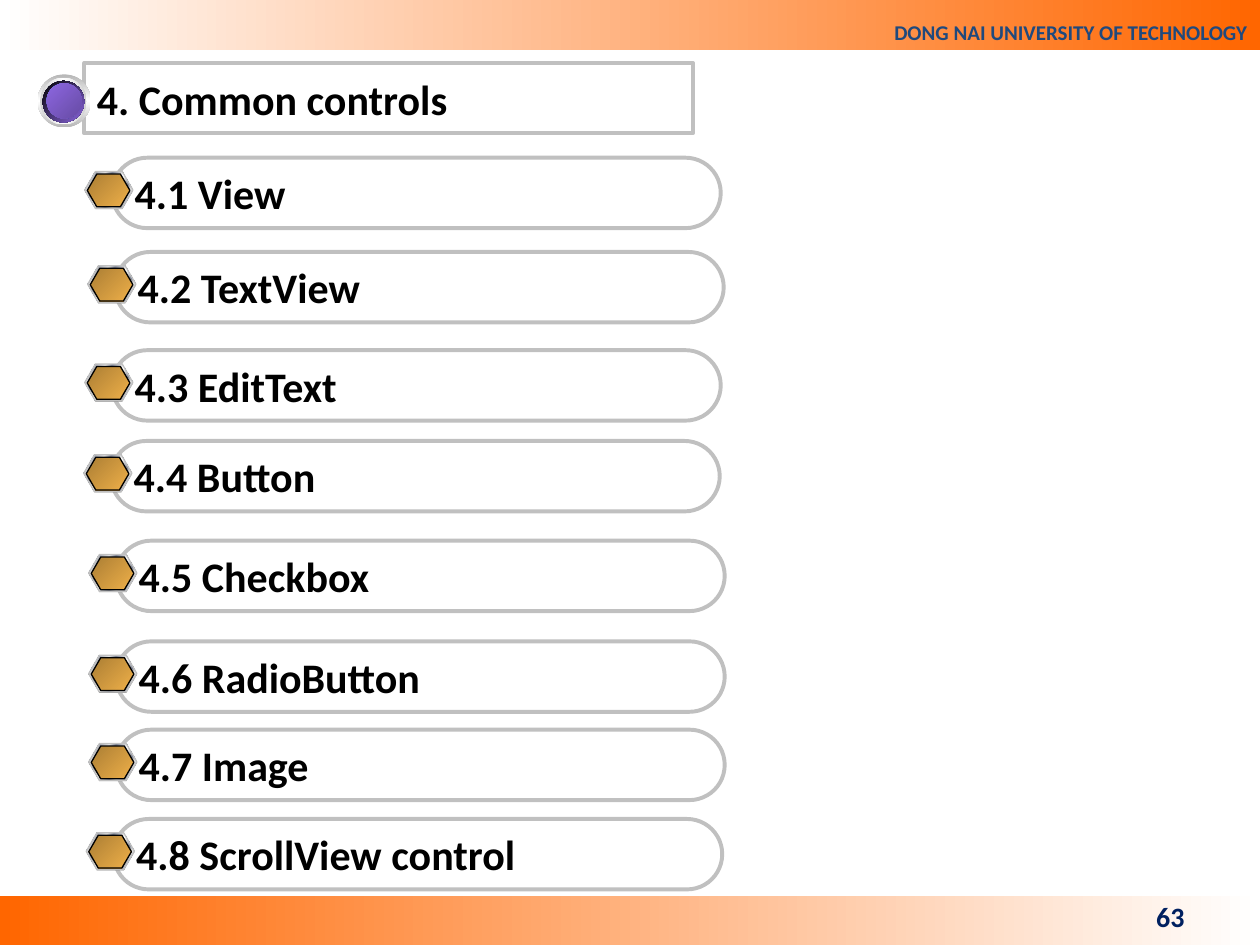
"""Build the agenda slide listing the common controls."""
import copy
from dataclasses import dataclass
from typing import Optional

import pptx
import pptx.dml.color
import pptx.enum.shapes
import pptx.enum.text
import pptx.oxml
import pptx.oxml.ns
import pptx.util

Cm = pptx.util.Cm
Pt = pptx.util.Pt
Shapes = pptx.enum.shapes.MSO_SHAPE
Align = pptx.enum.text.PP_ALIGN
Anchor = pptx.enum.text.MSO_ANCHOR
Stops = list[tuple[int, str]]

FONT = "Calibri"
BLACK = "000000"
SILVER = "C0C0C0"
PILL_SIZE = (12.27, 1.42)
FADE_IN = [(0, "FFFFFF"), (100, "FF6600")]
FADE_OUT = [(0, "FF6600"), (100, "FFFFFF")]
METAL = [
    (0, "E6E6E6"), (7, "7D8496"), (26, "E6E6E6"), (34, "7D8496"),
    (46, "E6E6E6"), (50, "FFFFFF"), (54, "E6E6E6"), (66, "7D8496"),
    (74, "E6E6E6"), (93, "7D8496"), (100, "E6E6E6"),
]


@dataclass
class Layer:
    left: float
    top: float
    width: float
    height: float
    stops: Stops
    angle: int = 45
    line: Optional[str] = None


@dataclass
class Topic:
    text: str
    left: float
    top: float


BUTTON_LAYERS = [
    Layer(0.76, 1.5, 1.07, 1.07, [(0, "B6B6B6"), (50, "FFFFFF"), (100, "B6B6B6")], 90),
    Layer(0.81, 1.57, 0.94, 0.94, [(0, "D1D1D1"), (50, "FFFFFF"), (100, "D1D1D1")], 0),
    Layer(0.86, 1.63, 0.84, 0.84, [(0, "FFFFFF"), (50, "6699FF"), (100, "FFFFFF")]),
    Layer(0.86, 1.63, 0.84, 0.84, [(0, BLACK), (100, "8D67E1")]),
    Layer(0.94, 1.68, 0.71, 0.71, [(0, "4E75C3"), (50, "6699FF"), (100, "4E75C3")], 315),
    Layer(0.94, 1.68, 0.71, 0.71, [(0, "8D67E1"), (100, "674BA4")]),
]
BULLET_LAYERS = [
    Layer(-0.55, 0.3, 0.97, 0.74, [(0, "808080")]),
    Layer(-0.55, 0.28, 0.97, 0.74, METAL, line=SILVER),
    Layer(-0.5, 0.33, 0.86, 0.66, [(0, "AB7E34"), (100, "EFB049")], line=BLACK),
]
HEADING = Topic("4. Common controls", 1.7, 1.27)
TOPICS = [
    Topic("4.1 View", 2.26, 3.18),
    Topic("4.2 TextView", 2.32, 5.08),
    Topic("4.3 EditText", 2.26, 7.06),
    Topic("4.4 Button", 2.24, 8.89),
    Topic("4.5 Checkbox", 2.34, 10.9),
    Topic("4.6 RadioButton", 2.34, 12.93),
    Topic("4.7 Image", 2.34, 14.71),
    Topic("4.8 ScrollView control", 2.29, 16.51),
]


def color(value: str) -> pptx.dml.color.RGBColor:
    return pptx.dml.color.RGBColor.from_string(value)


def paint(shape, stops: Stops, angle: int) -> None:
    if len(stops) == 1:
        shape.fill.solid()
        shape.fill.fore_color.rgb = color(stops[0][1])
        return
    shape.fill.gradient()
    gradient = shape._element.spPr.find(pptx.oxml.ns.qn("a:gradFill"))
    stop_list = "".join(
        f'<a:gs pos="{position * 1000}"><a:srgbClr val="{value}"/></a:gs>'
        for position, value in stops
    )
    replacement = pptx.oxml.parse_xml(
        f'<a:gradFill {pptx.oxml.ns.nsdecls("a")} rotWithShape="1">'
        f'<a:gsLst>{stop_list}</a:gsLst>'
        f'<a:lin ang="{angle * 60000}" scaled="0"/></a:gradFill>'
    )
    gradient.getparent().replace(gradient, replacement)


def outline(shape, value: Optional[str], width: float) -> None:
    if value is None:
        shape.line.fill.background()
    else:
        shape.line.color.rgb = color(value)
        shape.line.width = Pt(width)


def write(shape, text: str, size: int, value: str, alignment, anchor) -> None:
    frame = shape.text_frame
    frame.word_wrap = True
    frame.auto_size = pptx.enum.text.MSO_AUTO_SIZE.NONE
    frame.vertical_anchor = anchor
    paragraph = frame.paragraphs[0]
    paragraph.alignment = alignment
    run = paragraph.add_run()
    run.text = text
    run.font.name = FONT
    run.font.size = Pt(size)
    run.font.bold = True
    run.font.color.rgb = color(value)


def add_layer(shapes, kind, layer: Layer, left: float = 0, top: float = 0):
    shape = shapes.add_shape(
        kind, Cm(left + layer.left), Cm(top + layer.top), Cm(layer.width), Cm(layer.height)
    )
    shape.shadow.inherit = False
    paint(shape, layer.stops, layer.angle)
    outline(shape, layer.line, 0.75)
    return shape


def style_pill(shape, topic: Topic) -> None:
    shape.fill.background()
    outline(shape, SILVER, 2.25)
    write(shape, topic.text, 24, BLACK, Align.LEFT, Anchor.MIDDLE)


def add_topic(slide, topic: Topic):
    group = slide.shapes.add_group_shape()
    pill = group.shapes.add_shape(
        Shapes.ROUNDED_RECTANGLE, Cm(topic.left), Cm(topic.top), *map(Cm, PILL_SIZE)
    )
    pill.adjustments[0] = 0.5
    pill.shadow.inherit = False
    style_pill(pill, topic)
    for layer in BULLET_LAYERS:
        hexagon = add_layer(group.shapes, Shapes.HEXAGON, layer, topic.left, topic.top)
        hexagon.adjustments[0] = 0.29
    return pill


def format_title(title, topic: Topic, pill) -> None:
    title.left, title.top = Cm(topic.left), Cm(topic.top)
    title.width, title.height = map(Cm, PILL_SIZE)
    geometry = pill._element.spPr.find(pptx.oxml.ns.qn("a:prstGeom"))
    title._element.spPr.append(copy.deepcopy(geometry))
    style_pill(title, topic)


def main() -> None:
    presentation = pptx.Presentation()
    presentation.slide_width, presentation.slide_height = Cm(25.4), Cm(19.05)
    slide = presentation.slides.add_slide(presentation.slide_layouts[5])
    shapes = slide.shapes

    add_layer(shapes, Shapes.RECTANGLE, Layer(0, 18.06, 25.4, 0.99, FADE_OUT, 0))
    header = add_layer(shapes, Shapes.RECTANGLE, Layer(0, -0.15, 25.4, 1.17, FADE_IN, 0))
    write(header, "DONG NAI UNIVERSITY OF TECHNOLOGY", 12, "1F497D", Align.RIGHT, Anchor.BOTTOM)
    header.text_frame.paragraphs[0].line_spacing = 1.8
    number = shapes.add_textbox(Cm(18.21), Cm(17.96), Cm(5.92), Cm(1.02))
    write(number, "63", 16, "002060", Align.RIGHT, Anchor.MIDDLE)

    button = shapes.add_group_shape()
    for layer in BUTTON_LAYERS:
        add_layer(button.shapes, Shapes.OVAL, layer)
    pills = [add_topic(slide, topic) for topic in TOPICS]
    format_title(shapes.title, HEADING, pills[0])
    presentation.save("out.pptx")


if __name__ == "__main__":
    main()
